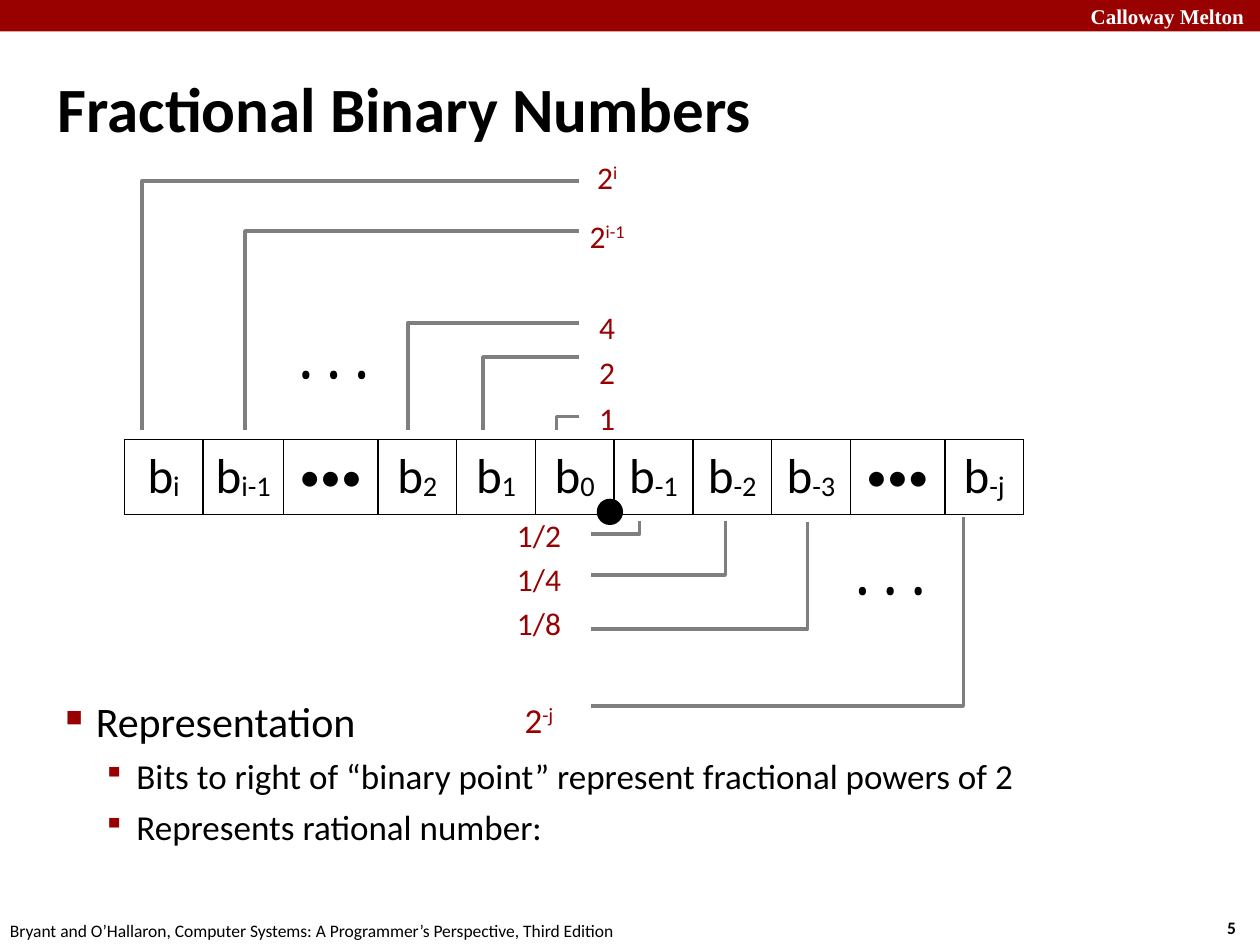
"""Build the slide on fractional binary numbers."""
from pptx import Presentation
from pptx.dml.color import RGBColor
from pptx.enum.shapes import MSO_SHAPE
from pptx.enum.text import MSO_ANCHOR, PP_ALIGN
from pptx.oxml.xmlchemy import OxmlElement
from pptx.util import Pt

BLACK = RGBColor(0x00, 0x00, 0x00)
WHITE = RGBColor(0xFF, 0xFF, 0xFF)
BANNER_RED = RGBColor(0x99, 0x00, 0x00)
WEIGHT_RED = RGBColor(0x98, 0x00, 0x02)
GRAY = RGBColor(0x7F, 0x7F, 0x7F)

RECTANGLE, OVAL = MSO_SHAPE.RECTANGLE, MSO_SHAPE.OVAL
MIDDLE = MSO_ANCHOR.MIDDLE
LEFT, CENTER, RIGHT = PP_ALIGN.LEFT, PP_ALIGN.CENTER, PP_ALIGN.RIGHT

SUPER, SUB = 32000, -6000
DOTS = "•••"


def add_child(parent, tag, **attributes):
    child = OxmlElement(tag)
    for name, value in attributes.items():
        child.set(name, str(value))
    parent.append(child)
    return child


def set_margins(target, size):
    target.margin_left = target.margin_right = Pt(size)
    target.margin_top = target.margin_bottom = Pt(size)


def set_indent(para, left, hanging):
    properties = para._p.get_or_add_pPr()
    properties.set("marL", str(Pt(left)))
    properties.set("indent", str(-Pt(hanging)))
    return properties


class SlideBuilder:
    def __init__(self, page, font="Calibri"):
        self.page = page
        self.font = font

    def style(self, span, size, color=BLACK, bold=False, font=None):
        span.font.name = font or self.font
        span.font.size = Pt(size)
        span.font.bold = bold
        span.font.color.rgb = color

    def title(self, text, left, top, width, height):
        box = self.page.shapes.title
        box.left, box.top, box.width, box.height = map(Pt, (left, top, width, height))
        frame = box.text_frame
        frame.text = text
        frame.word_wrap = True
        frame.vertical_anchor = MIDDLE
        set_margins(frame, 3)
        para = frame.paragraphs[0]
        para.alignment = LEFT
        set_indent(para, 6.5, 6.5)
        self.style(para.runs[0], 36, bold=True)

    def label(self, text, left, top, width, height, size, align=CENTER, **style):
        box = self.page.shapes.add_textbox(*map(Pt, (left, top, width, height)))
        frame = box.text_frame
        frame.text = text
        frame.word_wrap = False
        frame.paragraphs[0].alignment = align
        self.style(frame.paragraphs[0].runs[0], size, **style)

    def shape(self, kind, left, top, width, height, fill, line=None):
        shape = self.page.shapes.add_shape(kind, *map(Pt, (left, top, width, height)))
        shape.shadow.inherit = False
        shape.fill.solid()
        shape.fill.fore_color.rgb = fill
        if line is None:
            shape.line.fill.background()
        else:
            shape.line.color.rgb = line
            shape.line.width = Pt(2)
        return shape

    def ellipsis(self, left, top, rotation=0):
        shape = self.shape(RECTANGLE, left, top, 44, 42, WHITE)
        shape.rotation = rotation
        frame = shape.text_frame
        frame.text = "• • •"
        frame.word_wrap = False
        frame.vertical_anchor = MIDDLE
        set_margins(frame, 3)
        frame.paragraphs[0].alignment = LEFT
        self.style(frame.paragraphs[0].runs[0], 24, font="Cambria")

    def bracket(self, start, corner, end):
        builder = self.page.shapes.build_freeform(*map(Pt, start))
        builder.add_line_segments([tuple(map(Pt, point)) for point in (corner, end)], close=False)
        shape = builder.convert_to_shape()
        shape.shadow.inherit = False
        shape.fill.background()
        shape.line.color.rgb = GRAY
        shape.line.width = Pt(2)

    def table(self, left, top, widths, heights, entries, color, border, margin, shift):
        frame = self.page.shapes.add_table(
            len(heights), len(widths), Pt(left), Pt(top), Pt(sum(widths)), Pt(sum(heights)))
        table = frame.table
        table.first_row = table.horz_banding = False
        for column, width in zip(table.columns, widths):
            column.width = Pt(width)
        for row, height in zip(table.rows, heights):
            row.height = Pt(height)
        for cell, (base, script, size) in zip(table.iter_cells(), entries):
            self.cell(cell, border, margin)
            para = cell.text_frame.paragraphs[0]
            para.alignment = CENTER
            for text, offset in ((base, 0), (script, shift)):
                if text:
                    span = para.add_run()
                    span.text = text
                    self.style(span, size, color)
                    span.font._element.set("baseline", str(offset))

    def cell(self, cell, border, margin):
        cell.vertical_anchor = MIDDLE
        set_margins(cell, margin)
        for side in "LRTB":
            line = add_child(cell._tc.get_or_add_tcPr(), f"a:ln{side}", w=Pt(1))
            add_child(add_child(line, "a:solidFill"), "a:srgbClr", val=border)
        cell.fill.background()

    def bullets(self, items, left, top, width, height):
        box = self.page.shapes.add_textbox(*map(Pt, (left, top, width, height)))
        frame = box.text_frame
        frame.word_wrap = True
        set_margins(frame, 3)
        frame.text = "\n".join(text for text, level in items)
        looks = ((24, 17.25, 17.25, 0, "■", 55000), (20, 40.5, 19, 5, "▪", 85000))
        for para, (text, level) in zip(frame.paragraphs, items):
            size, indent, hanging, before, mark, scale = looks[level]
            para.level = level
            para.space_before = Pt(before)
            properties = set_indent(para, indent, hanging)
            add_child(add_child(properties, "a:buClr"), "a:srgbClr", val=BANNER_RED)
            add_child(properties, "a:buSzPct", val=scale)
            add_child(properties, "a:buChar", char=mark)
            self.style(para.runs[0], size)


def main():
    deck = Presentation()
    deck.slide_width, deck.slide_height = Pt(720), Pt(540)
    slide = SlideBuilder(deck.slides.add_slide(deck.slide_layouts[5]))

    slide.label("5", 690.5, 520.5, 26.5, 19.5, 10, bold=True)
    slide.label("Bryant and O’Hallaron, Computer Systems: A Programmer’s Perspective, Third Edition",
                -5, 522, 366, 19.5, 10)
    slide.shape(RECTANGLE, 0, 0, 720, 18, BANNER_RED)
    slide.label("Calloway Melton", 578, -1.5, 140, 21.5, 12, RIGHT,
                color=WHITE, bold=True, font="Times New Roman")

    weights = [("2", "i", 18), ("2", "i-1", 18), ("", "", 18),
               ("4", "", 18), ("2", "", 18), ("1", "", 18)]
    slide.table(324, 85, [46], [34, 34, 21, 26, 26, 26], weights, WEIGHT_RED, WHITE, 0, SUPER)
    fractions = [("1/2", "", 18), ("1/4", "", 18), ("1/8", "", 18), ("", "", 18), ("2", "-j", 20)]
    slide.table(282, 294, [52], [25.25, 25.25, 25.25, 25, 35], fractions,
                WEIGHT_RED, WHITE, 0, SUPER)
    indices = ["i", "i-1", DOTS, "2", "1", "0", "-1", "-2", "-3", DOTS, "-j"]
    bits = [(DOTS, "", 24) if index == DOTS else ("b", index, 28) for index in indices]
    widths = [{DOTS: 54, "i-1": 46}.get(index, 45) for index in indices]
    slide.table(71, 251, widths, [43], bits, BLACK, BLACK, 4.3, SUB)

    slide.ellipsis(489, 320, 180)
    slide.title("Fractional Binary Numbers", 30, 0, 541, 122.5)
    slide.bullets([("Representation", 0),
                   ("Bits to right of “binary point” represent fractional powers of 2", 1),
                   ("Represents rational number:", 1)], 34.5, 394.5, 667.5, 145.5)

    for x, y in ((318, 238), (276, 204), (233, 184.5), (140, 132), (81, 103.5)):
        slide.bracket((331, y), (x, y), (x, 245.5))
    slide.ellipsis(166.5, 191)
    for x, y, top in ((365.5, 305, 297.5), (414.5, 328.5, 297.5),
                      (461.5, 359.5, 298.5), (550.5, 403.5, 295.5)):
        slide.bracket((337.5, y), (x, y), (x, top))
    slide.shape(OVAL, 342, 286, 13, 13, BLACK, BLACK)

    deck.save("out.pptx")


if __name__ == "__main__":
    main()
